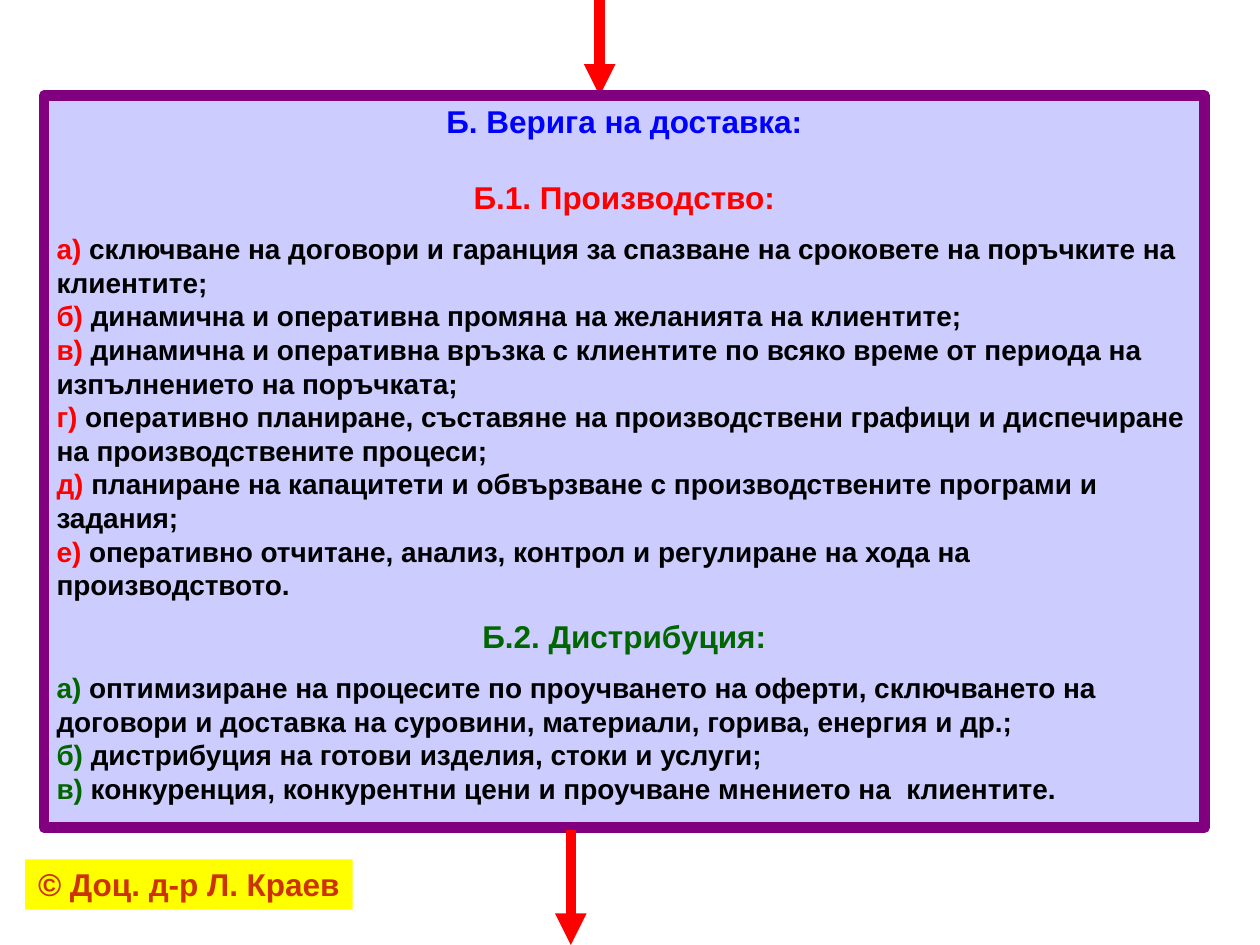
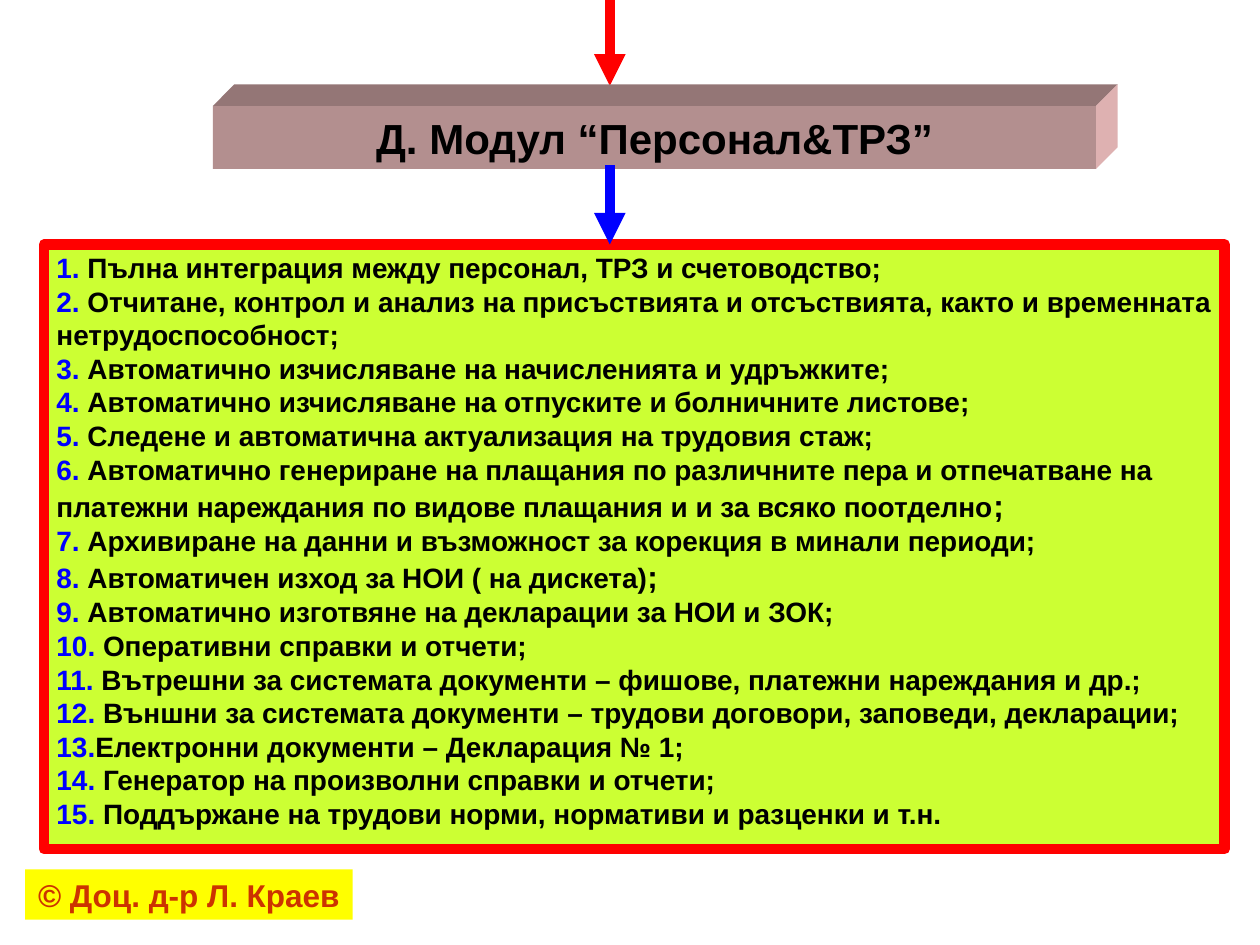
from dataclasses import dataclass

from lxml import etree
from pptx import Presentation
from pptx.dml.color import RGBColor
from pptx.enum.shapes import MSO_CONNECTOR, MSO_SHAPE
from pptx.enum.text import MSO_ANCHOR, MSO_AUTO_SIZE, PP_ALIGN
from pptx.oxml.ns import qn
from pptx.util import Inches, Pt

RECTANGLE = MSO_SHAPE.RECTANGLE
STRAIGHT = MSO_CONNECTOR.STRAIGHT
TOP = MSO_ANCHOR.TOP
NO_FIT = MSO_AUTO_SIZE.NONE
LEFT, CENTER = PP_ALIGN.LEFT, PP_ALIGN.CENTER
COLUMNS, ROWS = 100, 75
SLIDE_WIDTH, SLIDE_HEIGHT = Inches(10), Inches(7.5)
TITLE_ONLY, BLANK = 5, 6


@dataclass(frozen=True)
class Theme:
    font: str = "Arial"
    title_size: int = 24
    heading_size: int = 18
    body_size: int = 16
    stroke: int = 6
    gap: int = 9
    wide_gap: int = 22
    black: str = "000000"
    red: str = "FF0000"
    blue: str = "0000FF"
    green: str = "006600"
    purple: str = "800080"
    lavender: str = "CCCCFF"
    lime: str = "CCFF33"
    yellow: str = "FFFF00"
    rust: str = "CC3300"
    banner_front: str = "B38F8F"
    banner_top: str = "947676"
    banner_side: str = "DEB1B1"


THEME = Theme()

AUTHOR = "© Доц. д-р Л. Краев"
LETTERS = "абвгде"
PRODUCTION = [
    " сключване на договори и гаранция за спазване на сроковете на поръчките на клиентите;",
    " динамична и оперативна промяна на желанията на клиентите;",
    " динамична и оперативна връзка с клиентите по всяко време от периода на изпълнението на поръчката;",
    " оперативно планиране, съставяне на производствени графици и диспечиране на производствените процеси;",
    " планиране на капацитети и обвързване с производствените програми и задания;",
    " оперативно отчитане, анализ, контрол и регулиране на хода на производството.",
]
DISTRIBUTION = [
    " оптимизиране на процесите по проучването на оферти, сключването на договори и доставка"
    " на суровини, материали, горива, енергия и др.;",
    " дистрибуция на готови изделия, стоки и услуги;",
    " конкуренция, конкурентни цени и проучване мнението на  клиентите.",
]
STAFF_FEATURES = [
    " Пълна интеграция между персонал, ТРЗ и счетоводство;",
    " Отчитане, контрол и анализ на присъствията и отсъствията, както и временната нетрудоспособност;",
    " Автоматично изчисляване на начисленията и удръжките;",
    " Автоматично изчисляване на отпуските и болничните листове;",
    " Следене и автоматична актуализация на трудовия стаж;",
    " Автоматично генериране на плащания по различните пера и отпечатване на платежни"
    " нареждания по видове плащания и и за всяко поотделно;",
    " Архивиране на данни и възможност за корекция в минали периоди;",
    " Автоматичен изход за НОИ ( на дискета);",
    " Автоматично изготвяне на декларации за НОИ и ЗОК;",
    " Оперативни справки и отчети;",
    " Вътрешни за системата документи – фишове, платежни нареждания и др.;",
    " Външни за системата документи – трудови договори, заповеди, декларации;",
    "Електронни документи – Декларация № 1;",
    " Генератор на произволни справки и отчети;",
    " Поддържане на трудови норми, нормативи и разценки и т.н.",
]
LARGE_SEMICOLONS = {6, 8}


def across(columns):
    return round(SLIDE_WIDTH * columns / COLUMNS)


def down(rows):
    return round(SLIDE_HEIGHT * rows / ROWS)


def paint(shape, fill, line=None):
    shape.fill.solid()
    shape.fill.fore_color.rgb = RGBColor.from_string(fill)
    if line:
        shape.line.color.rgb = RGBColor.from_string(line)
        shape.line.width = Pt(THEME.stroke)
    else:
        shape.line.fill.background()


def add_box(page, left, top, width, height, fill, line=None, wrap=True):
    box = page.shapes.add_shape(RECTANGLE, across(left), down(top), across(width), down(height))
    box.shadow.inherit = False
    paint(box, fill, line)
    box.text_frame.word_wrap = wrap
    box.text_frame.vertical_anchor = TOP
    return box


def add_para(box, spans, align=LEFT, before=0):
    frame = box.text_frame
    first = frame.paragraphs[0]
    para = frame.add_paragraph() if first.runs else first
    para.alignment = align
    para.space_before = Pt(before)
    for text, size, color in spans:
        span = para.add_run()
        span.text = text
        span.font.name = THEME.font
        span.font.size = Pt(size)
        span.font.bold = True
        span.font.color.rgb = RGBColor.from_string(color)


def add_heading(box, text, color, before=0):
    add_para(box, [(text, THEME.heading_size, color)], CENTER, before)


def add_items(box, markers, texts, color, before=0, large_ends=()):
    for number, (marker, text) in enumerate(zip(markers, texts), 1):
        spans = [(marker, THEME.body_size, color), (text, THEME.body_size, THEME.black)]
        if number in large_ends:
            spans[1:] = [(text[:-1], THEME.body_size, THEME.black),
                         (text[-1], THEME.heading_size, THEME.black)]
        add_para(box, spans, before=before if number == 1 else 0)


def add_arrow(page, column, start, end, color):
    arrow = page.shapes.add_connector(STRAIGHT, across(column), down(start), across(column), down(end))
    arrow.line.color.rgb = RGBColor.from_string(color)
    arrow.line.width = Pt(THEME.stroke)
    etree.SubElement(arrow.line._get_or_add_ln(), qn("a:tailEnd"), type="triangle")
    etree.SubElement(arrow._element.spPr, qn("a:effectLst"))


def add_author(page, top):
    label = add_box(page, 2, top, 26, 4, THEME.yellow, wrap=False)
    add_heading(label, AUTHOR, THEME.rust)


def add_face(page, corners, fill):
    points = [(across(column), down(row)) for column, row in corners]
    builder = page.shapes.build_freeform(*points[0])
    builder.add_line_segments(points[1:], close=True)
    face = builder.convert_to_shape()
    face.shadow.inherit = False
    paint(face, fill)


def add_banner_title(page, text, left, top, width, height, depth):
    title = page.shapes.title
    title.left, title.top = across(left), down(top)
    title.width, title.height = across(width), down(height)
    paint(title, THEME.banner_front)
    title.text_frame.auto_size = NO_FIT
    title.text_frame.word_wrap = True
    title.text_frame.vertical_anchor = TOP
    add_para(title, [(text, THEME.title_size, THEME.black)], CENTER)
    right, bottom = left + width, top + height
    back_right, back_top = right + depth, top - depth
    add_face(page, [(left, top), (left + depth, back_top), (back_right, back_top), (right, top)],
             THEME.banner_top)
    add_face(page, [(right, top), (back_right, back_top), (back_right, bottom - depth), (right, bottom)],
             THEME.banner_side)


def build_supply_chain(deck):
    page = deck.slides.add_slide(deck.slide_layouts[BLANK])
    add_author(page, 68.2)
    add_arrow(page, 47.6, 0, 7.6, THEME.red)
    panel = add_box(page, 3.5, 7.6, 92.1, 58.1, THEME.lavender, THEME.purple)
    markers = [letter + ")" for letter in LETTERS]
    add_heading(panel, "Б. Верига на доставка:", THEME.blue)
    add_heading(panel, "Б.1. Производство:", THEME.red, THEME.wide_gap)
    add_items(panel, markers, PRODUCTION, THEME.red, THEME.gap)
    add_heading(panel, "Б.2. Дистрибуция:", THEME.green, THEME.gap)
    add_items(panel, markers, DISTRIBUTION, THEME.green, THEME.gap)
    add_arrow(page, 45.3, 65.9, 75, THEME.red)


def build_staff_module(deck):
    page = deck.slides.add_slide(deck.slide_layouts[TITLE_ONLY])
    add_arrow(page, 48.4, 0, 6.8, THEME.red)
    add_author(page, 69)
    add_banner_title(page, "Д. Модул “Персонал&ТРЗ”", 16.9, 8.4, 70.1, 5, 1.7)
    panel = add_box(page, 3.5, 19.4, 93.7, 48, THEME.lime, THEME.red)
    markers = [f"{number}." for number in range(1, len(STAFF_FEATURES) + 1)]
    add_items(panel, markers, STAFF_FEATURES, THEME.blue, large_ends=LARGE_SEMICOLONS)
    add_arrow(page, 48.4, 13.1, 19.4, THEME.blue)


def main():
    deck = Presentation()
    deck.slide_width, deck.slide_height = SLIDE_WIDTH, SLIDE_HEIGHT
    build_supply_chain(deck)
    build_staff_module(deck)
    deck.save("out.pptx")


if __name__ == "__main__":
    main()
